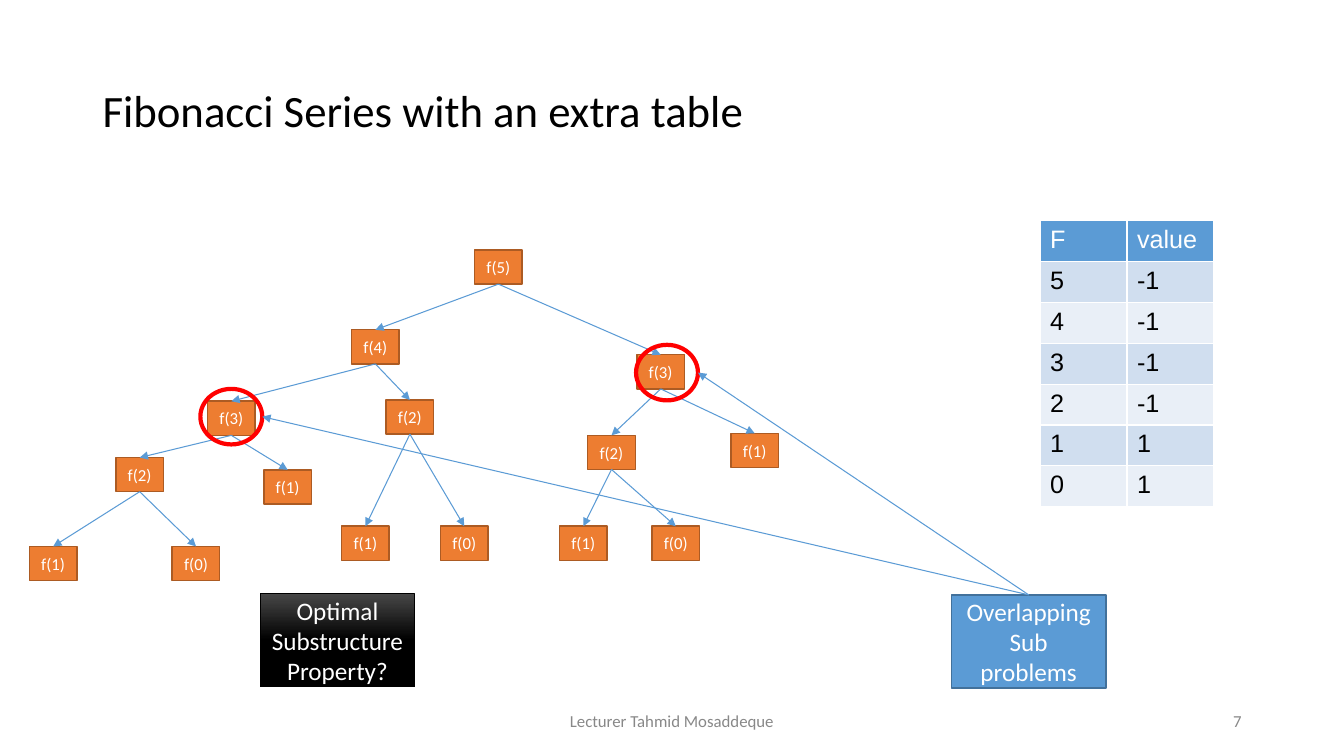
from pptx import Presentation
from pptx.dml.color import RGBColor
from pptx.enum.shapes import MSO_CONNECTOR as Line, MSO_SHAPE as Shape
from pptx.enum.text import MSO_ANCHOR as Anchor, PP_ALIGN as Align
from pptx.oxml.ns import qn
from pptx.util import Cm, Pt
from lxml.etree import SubElement

BLACK = RGBColor(0x00, 0x00, 0x00)
CHARCOAL = RGBColor(0x47, 0x47, 0x47)
GRAY = RGBColor(0x88, 0x88, 0x88)
WHITE = RGBColor(0xFF, 0xFF, 0xFF)
RED = RGBColor(0xFF, 0x00, 0x00)
ORANGE = RGBColor(0xED, 0x7D, 0x31)
BROWN = RGBColor(0xAC, 0x5B, 0x23)
BLUE = RGBColor(0x5B, 0x9B, 0xD5)
NAVY = RGBColor(0x42, 0x71, 0x9B)
BAND_DARK = RGBColor(0xD0, 0xDE, 0xEF)
BAND_LIGHT = RGBColor(0xE9, 0xEF, 0xF7)

CALL_TREE = (5, 11.96, 6.3, [
    (4, 8.86, 8.31, [
        (3, 5.23, 10.11, [
            (2, 2.92, 11.53, [(1, 0.74, 13.77, []), (0, 4.34, 13.77, [])]),
            (1, 6.65, 11.84, []),
        ]),
        (2, 9.73, 10.08, [(1, 8.61, 13.26, []), (0, 11.1, 13.26, [])]),
    ]),
    (3, 16.05, 8.94, [
        (2, 14.81, 10.97, [(1, 14.1, 13.26, []), (0, 16.43, 13.26, [])]),
        (1, 18.42, 10.92, []),
    ]),
])
MEMO_ROWS = [("F", "value"), ("5", "-1"), ("4", "-1"), ("3", "-1"),
             ("2", "-1"), ("1", "1"), ("0", "1")]
REPEATED_CALLS = [(16.03, 8.69), (5.05, 9.8)]


def write(frame, text, size, color, align, face="Calibri"):
    frame.text = text
    para = frame.paragraphs[0]
    para.alignment = align
    font = para.runs[0].font
    font.name = face
    font.size = Pt(size)
    font.color.rgb = color


def add_outline(page, kind, left, top, width, height, color, weight):
    shape = page.shapes.add_shape(kind, Cm(left), Cm(top), Cm(width), Cm(height))
    shape.shadow.inherit = False
    shape.line.color.rgb = color
    shape.line.width = Pt(weight)
    return shape


def add_box(page, text, left, top, width, height, size, fill, border):
    box = add_outline(page, Shape.RECTANGLE, left, top, width, height, border, 1)
    box.fill.solid()
    box.fill.fore_color.rgb = fill
    write(box.text_frame, text, size, WHITE, Align.CENTER)
    return box


def add_arrow(page, source, left=0, top=0):
    arrow = page.shapes.add_connector(Line.STRAIGHT, 0, 0, Cm(left), Cm(top))
    arrow.begin_connect(*source)
    arrow.line.color.rgb = BLUE
    arrow.line.width = Pt(0.75)
    SubElement(arrow.line._get_or_add_ln(), qn("a:tailEnd"), type="triangle")
    SubElement(arrow._element.spPr, qn("a:effectLst"))
    return arrow


def add_call(page, call):
    number, left, top, children = call
    box = add_box(page, f"f({number})", left, top, 1.2, 0.86, 12, ORANGE, BROWN)
    for child in children:
        child_box = add_call(page, child)
        add_arrow(page, (box, 2)).end_connect(child_box, 0)
    return box


def add_memo_table(page):
    table = page.shapes.add_table(len(MEMO_ROWS), 2, Cm(26.21), Cm(5.56),
                                  Cm(4.38), Cm(7.21)).table
    for row, values in enumerate(MEMO_ROWS):
        fill = BLUE if row == 0 else BAND_DARK if row % 2 else BAND_LIGHT
        for column, value in enumerate(values):
            cell = table.cell(row, column)
            cell.fill.solid()
            cell.fill.fore_color.rgb = fill
            write(cell.text_frame, value, 18, BLACK if row else WHITE,
                  Align.LEFT, "Arial")


def add_footer(page, text, left, width, align):
    box = page.shapes.add_textbox(Cm(left), Cm(17.65), Cm(width), Cm(1.02))
    box.text_frame.word_wrap = True
    box.text_frame.vertical_anchor = Anchor.MIDDLE
    write(box.text_frame, text, 12, GRAY, align)


def add_title(page, text):
    title = page.shapes.title
    title.left, title.top, title.width, title.height = Cm(2.33), Cm(1.01), Cm(29.21), Cm(3.68)
    title.text_frame.vertical_anchor = Anchor.MIDDLE
    write(title.text_frame, text, 32, BLACK, Align.LEFT)
    title.text_frame.paragraphs[0].line_spacing = 0.9


def add_question(page):
    box = add_box(page, "Optimal Substructure Property?", 6.56, 14.96, 3.89, 2.35,
                  18, BLACK, BLACK)
    box.line.width = Pt(0.75)
    box.fill.gradient()
    box.fill.gradient_angle = 270
    for stop, position, color in zip(box.fill.gradient_stops, (0, 0.5), (CHARCOAL, BLACK)):
        stop.position = position
        stop.color.rgb = color


def main():
    deck = Presentation()
    deck.slide_width, deck.slide_height = Cm(33.87), Cm(19.05)
    page = deck.slides.add_slide(deck.slide_layouts[5])
    add_title(page, "Fibonacci Series with an extra table")
    add_call(page, CALL_TREE)
    add_memo_table(page)
    overlap = add_box(page, "Overlapping Sub problems", 23.98, 14.99, 3.89, 2.35,
                      18, BLUE, NAVY)
    for left, top in REPEATED_CALLS:
        ring = add_outline(page, Shape.OVAL, left, top, 1.56, 1.4, RED, 3)
        ring.fill.background()
        add_arrow(page, (overlap, 0), left + 1.56, top + 0.7)
    add_question(page)
    add_footer(page, "7", 23.92, 7.62, Align.RIGHT)
    add_footer(page, "Lecturer Tahmid Mosaddeque", 11.22, 11.43, Align.CENTER)
    deck.save("out.pptx")


if __name__ == "__main__":
    main()
